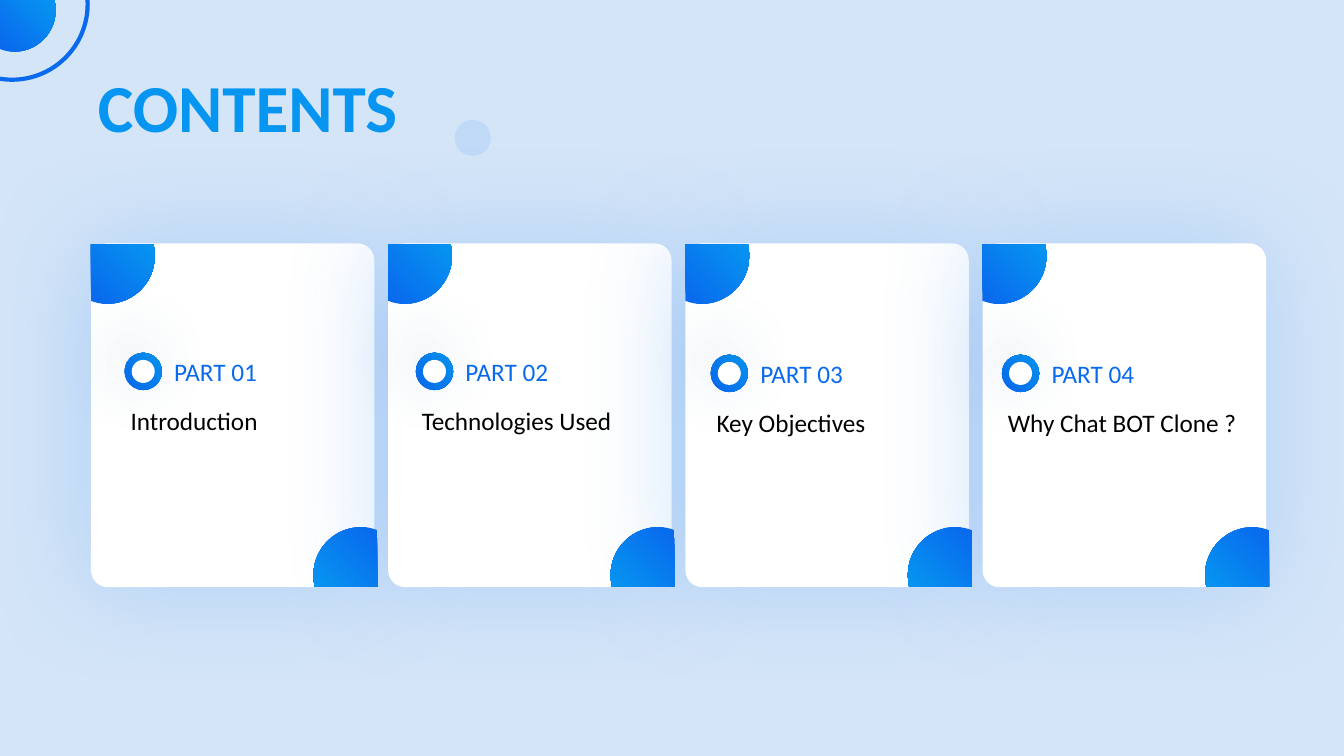
from dataclasses import dataclass
from typing import Any

from lxml import etree
from pptx import Presentation
from pptx import util as u
from pptx.dml import color
from pptx.enum import shapes, text
from pptx.oxml import ns

COLORS = {
    "background": "D4E5F7",
    "deep": "096AED",
    "bright": "0695F0",
    "glow": "7AB3FA",
    "white": "FFFFFF",
    "black": "000000",
}
CARD_LEFT, CARD_TOP, CARD_PITCH = 2.32, 6.16, 7.49
CARD_WIDTH, CARD_HEIGHT = 7.09, 8.61
TAB_START = (0, 1.42)
TAB_CURVES = [
    [(0.13, 1.47), (0.26, 1.5), (0.4, 1.5)],
    [(1.07, 1.5), (1.61, 0.96), (1.61, 0.3)],
    [(1.61, 0.2), (1.6, 0.1), (1.58, 0)],
]
TAB_CORNER = (0, 0)


@dataclass(frozen=True)
class Part:
    number: int
    topic: str
    left: float
    top: float
    width: float = 5.94


@dataclass(frozen=True)
class Shadow:
    color: str
    opacity: int
    blur: float
    distance: float
    direction: int


CARD_SHADOW = Shadow("glow", 40, 76, 3, 180)
RING_SHADOW = Shadow("glow", 20, 48, 12, 225)
HOLE_SHADOW = Shadow("black", 20, 48, 12, 225)

PARTS = [
    Part(1, "Introduction", 3.04, 10.08),
    Part(2, "Technologies Used", 10.38, 10.08),
    Part(3, "Key Objectives", 17.81, 10.13),
    Part(4, "Why Chat BOT Clone ?", 25.15, 10.13, 6.4),
]


def rgb(name: str) -> color.RGBColor:
    return color.RGBColor.from_string(COLORS[name])


def apply_format(target: Any, values: dict[str, Any]) -> None:
    for name, value in values.items():
        setattr(target, name, value)


def set_opacity(element: Any, percent: int) -> None:
    alpha = etree.SubElement(element, ns.qn("a:alpha"))
    alpha.set("val", str(percent * 1000))


def add_shadow(shape: Any, shadow: Shadow) -> None:
    effects = shape._element.spPr.find(ns.qn("a:effectLst"))
    outer = etree.SubElement(effects, ns.qn("a:outerShdw"))
    attributes = {
        "blurRad": u.Pt(shadow.blur),
        "dist": u.Pt(shadow.distance),
        "dir": shadow.direction * 60000,
        "algn": "ctr",
        "rotWithShape": 0,
    }
    for name, value in attributes.items():
        outer.set(name, str(value))
    tint = etree.SubElement(outer, ns.qn("a:srgbClr"))
    tint.set("val", COLORS[shadow.color])
    set_opacity(tint, shadow.opacity)


def fill_solid(shape: Any, name: str) -> None:
    shape.fill.solid()
    shape.fill.fore_color.rgb = rgb(name)


def fill_gradient(shape: Any) -> None:
    shape.fill.gradient()
    shape.fill.gradient_angle = 45
    stops = zip(shape.fill.gradient_stops, ("deep", "bright"), (0.05, 1))
    for stop, name, position in stops:
        stop.color.rgb = rgb(name)
        stop.position = position


def add_plain(slide: Any, kind: Any, left: float, top: float, width: float, height: float) -> Any:
    shape = slide.shapes.add_shape(kind, u.Cm(left), u.Cm(top), u.Cm(width), u.Cm(height))
    shape.shadow.inherit = False
    shape.line.fill.background()
    return shape


def add_circle(slide: Any, left: float, top: float, size: float) -> Any:
    return add_plain(slide, shapes.MSO_SHAPE.OVAL, left, top, size, size)


def add_card(slide: Any, left: float) -> None:
    card = add_plain(
        slide, shapes.MSO_SHAPE.ROUNDED_RECTANGLE, left, CARD_TOP, CARD_WIDTH, CARD_HEIGHT
    )
    card.adjustments[0] = 0.056
    fill_solid(card, "white")
    card.line.color.rgb = rgb("white")
    card.line.width = u.Pt(1.5)
    add_shadow(card, CARD_SHADOW)


def round_tab(tab: Any) -> None:
    segments = list(tab._element.iter(ns.qn("a:lnTo")))
    for index in range(len(TAB_CURVES)):
        controls = segments[3 * index:3 * index + 3]
        curve = etree.Element(ns.qn("a:cubicBezTo"))
        controls[0].addprevious(curve)
        for control in controls:
            curve.append(control[0])
            control.getparent().remove(control)


def add_tab(slide: Any, left: float, top: float, scale: float = 1, rotation: int = 0) -> None:
    outline = [TAB_START, *(point for curve in TAB_CURVES for point in curve), TAB_CORNER]
    points = [(u.Cm(left + scale * x), u.Cm(top + scale * y)) for x, y in outline]
    builder = slide.shapes.build_freeform(*points[0])
    builder.add_line_segments(points[1:], close=True)
    tab = builder.convert_to_shape()
    round_tab(tab)
    tab.shadow.inherit = False
    tab.line.fill.background()
    fill_gradient(tab)
    tab.rotation = rotation


def write_text(shape: Any, content: str, name: str, font: dict[str, Any],
               alignment: Any, frame_format: dict[str, Any]) -> None:
    apply_format(shape.text_frame, frame_format)
    paragraph = shape.text_frame.paragraphs[0]
    paragraph.alignment = alignment
    run = paragraph.add_run()
    run.text = content
    apply_format(run.font, {"name": "Calibri", **font})
    run.font.color.rgb = rgb(name)


def add_label(slide: Any, content: str, left: float, top: float, width: float,
              name: str, alignment: Any, wrap: bool) -> None:
    box = slide.shapes.add_textbox(u.Cm(left), u.Cm(top), u.Cm(width), u.Cm(1.02))
    write_text(
        box, content, name, {"size": u.Pt(18)}, alignment,
        {"word_wrap": wrap, "auto_size": text.MSO_AUTO_SIZE.SHAPE_TO_FIT_TEXT},
    )


def add_part(slide: Any, part: Part) -> None:
    add_label(slide, part.topic, part.left, part.top, part.width,
              "black", text.PP_ALIGN.JUSTIFY, True)
    ring = add_circle(slide, part.left + 0.1, part.top - 1.19, 0.94)
    fill_gradient(ring)
    add_shadow(ring, RING_SHADOW)
    hole = add_circle(slide, part.left + 0.28, part.top - 1.01, 0.58)
    fill_solid(hole, "white")
    add_shadow(hole, HOLE_SHADOW)
    add_label(slide, f"PART {part.number:02d}", part.left + 1.1, part.top - 1.23, 3.38,
              "deep", text.PP_ALIGN.LEFT, False)


def add_title(slide: Any) -> None:
    title = slide.shapes.title
    place = {"left": 2.21, "top": 1.52, "width": 10.41, "height": 2.31}
    apply_format(title, {name: u.Cm(value) for name, value in place.items()})
    write_text(
        title, "CONTENTS", "bright", {"size": u.Pt(48), "bold": True}, text.PP_ALIGN.LEFT,
        {"word_wrap": True, "vertical_anchor": text.MSO_ANCHOR.TOP,
         "auto_size": text.MSO_AUTO_SIZE.NONE},
    )


def add_decoration(slide: Any) -> None:
    dot = add_circle(slide, 11.46, 3.02, 0.91)
    fill_solid(dot, "glow")
    set_opacity(dot._element.spPr.find(ns.qn("a:solidFill"))[0], 23)
    outline = add_circle(slide, -1.6, -1.8, 3.81)
    outline.fill.background()
    outline.line.color.rgb = rgb("deep")
    outline.line.width = u.Pt(3)
    add_tab(slide, 0, 0, 0.87)


def main() -> None:
    presentation = Presentation()
    presentation.slide_width, presentation.slide_height = u.Cm(33.87), u.Cm(19.05)
    slide = presentation.slides.add_slide(presentation.slide_layouts[5])
    fill_solid(slide.background, "background")
    add_title(slide)
    card_lefts = [CARD_LEFT + CARD_PITCH * index for index in range(len(PARTS))]
    for left in card_lefts:
        add_card(slide, left)
    for left in card_lefts:
        add_tab(slide, left + 5.58, 13.28, rotation=180)
    for part in PARTS:
        add_part(slide, part)
    for left in card_lefts:
        add_tab(slide, left - 0.03, CARD_TOP)
    add_decoration(slide)
    presentation.save("out.pptx")


if __name__ == "__main__":
    main()
